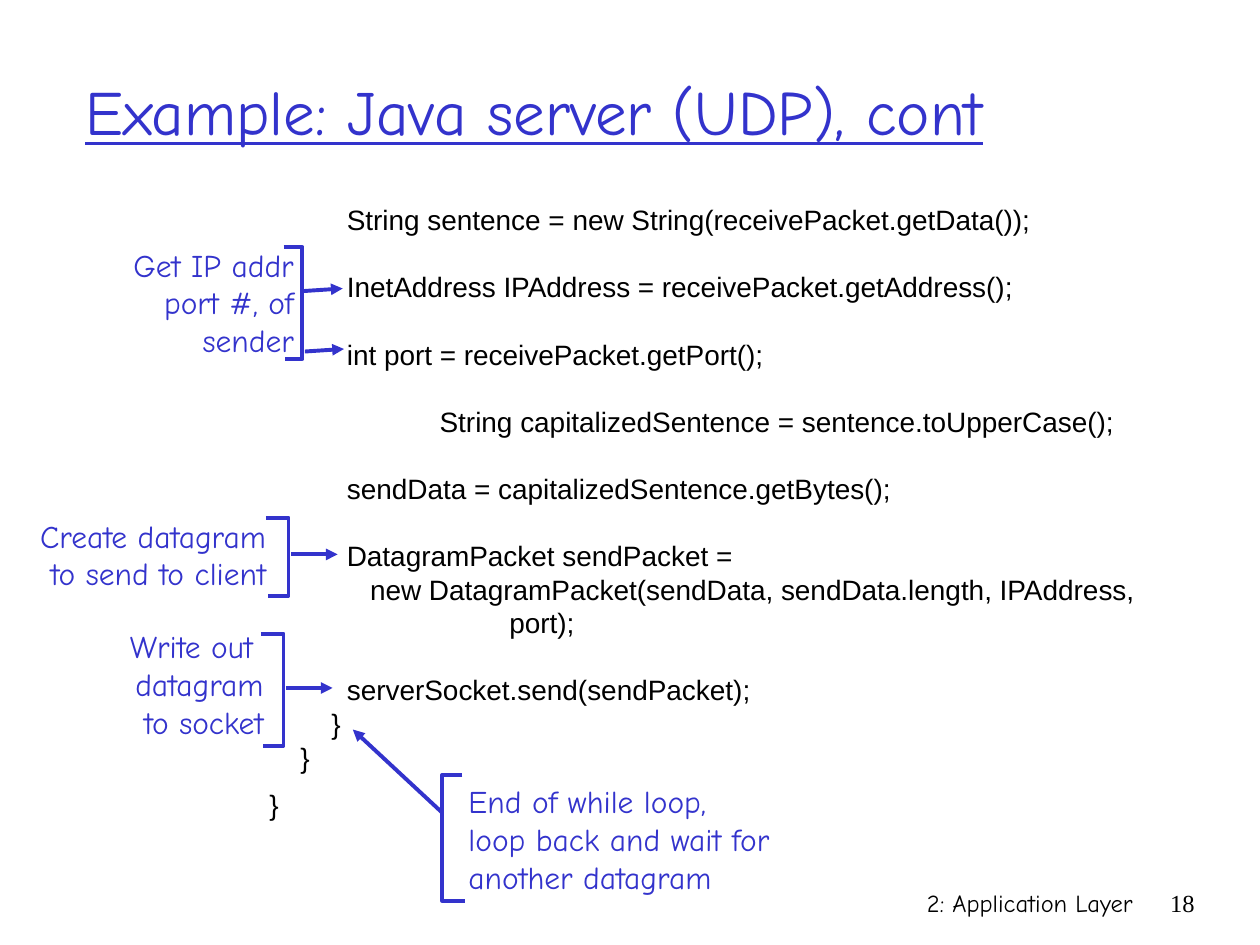
from lxml import etree
from pptx import Presentation
from pptx.dml.color import RGBColor
from pptx.enum.shapes import MSO_CONNECTOR as CONN
from pptx.enum.text import MSO_ANCHOR as ANCHOR, PP_ALIGN as ALIGN
from pptx.oxml.ns import qn
from pptx.util import Inches, Pt

COLORS = {"blue": "3333CC", "black": "000000"}
HAND, SANS, SERIF = "Comic Neue", "Arial", "Times New Roman"

TITLE = "Example: Java server (UDP), cont"
FOOTER = "2: Application Layer"
PAGE = "18"

# indent in space widths, points before, text
GAP = 19.2
CODE = [
    (10, 0, "String sentence = new String(receivePacket.getData());"),
    (10, GAP, "InetAddress IPAddress = receivePacket.getAddress();"),
    (10, GAP, "int port = receivePacket.getPort();"),
    (22, GAP, "String capitalizedSentence = sentence.toUpperCase();"),
    (10, GAP, "sendData = capitalizedSentence.getBytes();"),
    (10, GAP, "DatagramPacket sendPacket ="),
    (13, 0, "new DatagramPacket(sendData, sendData.length, IPAddress,"),
    (31, 0, "port);"),
    (10, GAP, "serverSocket.send(sendPacket);"),
    (8, 0, "}"),
    (4, 0, "}"),
    (0, 8, "}"),
]
SPACE = 0.0614  # width of one space at 16 pt, in inches

# box, text, alignment, bracket (top tip, spine, bottom tip, top, bottom), arrows
NOTES = [
    ((0.14, 1.9, 2.29, 1), "Get IP addr\nport #, of\nsender", ALIGN.RIGHT,
     (2.25, 2.4, 2.26, 1.96, 2.85),
     [(2.41, 2.31, 2.72, 2.29), (2.42, 2.79, 2.73, 2.77)]),
    ((0.2, 4.05, 2.01, 0.7), "Create datagram\nto send to client", ALIGN.RIGHT,
     (2.11, 2.29, 2.13, 4.11, 4.73), [(2.31, 4.4, 2.68, 4.4)]),
    ((0.92, 4.93, 1.27, 1), "Write out \ndatagram\nto socket", ALIGN.RIGHT,
     (2.07, 2.25, 2.09, 5.03, 5.92), [(2.27, 5.46, 2.64, 5.46)]),
    ((3.62, 6.16, 2.6, 1),
     "End of while loop,\nloop back and wait for\nanother datagram", ALIGN.LEFT,
     (3.67, 3.51, 3.69, 6.15, 7.15), [(3.51, 6.45, 2.8, 5.79)]),
]


def rgb(name):
    return RGBColor.from_string(COLORS[name])


def add_text(slide, box, text, size, font, color, align=ALIGN.LEFT,
             anchor=ANCHOR.TOP, wrap=True):
    frame = slide.shapes.add_textbox(*map(Inches, box)).text_frame
    frame.word_wrap = wrap
    frame.vertical_anchor = anchor
    frame.text = text
    for para in frame.paragraphs:
        para.alignment = align
        for run in para.runs:
            run.font.size = Pt(size)
            run.font.name = font
            run.font.color.rgb = rgb(color)
    return frame


def add_code(slide):
    text = "\n".join(line for _, _, line in CODE)
    frame = add_text(slide, (2.04, 1.56, 7.15, 5.03), text, 16, SANS, "black")
    for para, (indent, before, _) in zip(frame.paragraphs, CODE):
        para.line_spacing = Pt(GAP)
        para.space_before = Pt(before)
        props = para._p.get_or_add_pPr()
        props.set("marL", str(Inches(indent * SPACE)))
        props.set("indent", "0")


def style_line(line):
    line.color.rgb = rgb("blue")
    line.width = Pt(2.25)


def add_bracket(slide, *sides):
    tip, spine, end, top, base = map(Inches, sides)
    pen = slide.shapes.build_freeform(tip, top)
    pen.add_line_segments([(spine, top), (spine, base), (end, base)], close=False)
    shape = pen.convert_to_shape()
    shape.shadow.inherit = False
    shape.fill.background()
    style_line(shape.line)


def add_arrow(slide, ends):
    arrow = slide.shapes.add_connector(CONN.STRAIGHT, *map(Inches, ends))
    style_line(arrow.line)
    props = arrow._element.spPr
    etree.SubElement(props.find(qn("a:ln")), qn("a:tailEnd"), type="triangle")
    etree.SubElement(props, qn("a:effectLst"))


def main():
    deck = Presentation()
    deck.slide_width, deck.slide_height = Inches(10), Inches(7.5)
    slide = deck.slides.add_slide(deck.slide_layouts[6])

    add_text(slide, (5.92, 7, 3.17, 0.5), FOOTER, 14, HAND, "black", ALIGN.RIGHT)
    add_text(slide, (9.08, 7, 0.5, 0.5), PAGE, 14, SERIF, "black", ALIGN.RIGHT)
    title = add_text(slide, (0.58, 0.25, 8.5, 1.25), TITLE, 36, HAND, "blue",
                     anchor=ANCHOR.MIDDLE)
    title.paragraphs[0].runs[0].font.underline = True
    add_code(slide)

    for box, text, align, bracket, arrows in NOTES:
        add_text(slide, box, text, 18, HAND, "blue", align, ANCHOR.MIDDLE, False)
        add_bracket(slide, *bracket)
        for ends in arrows:
            add_arrow(slide, ends)

    deck.save("out.pptx")


if __name__ == "__main__":
    main()
